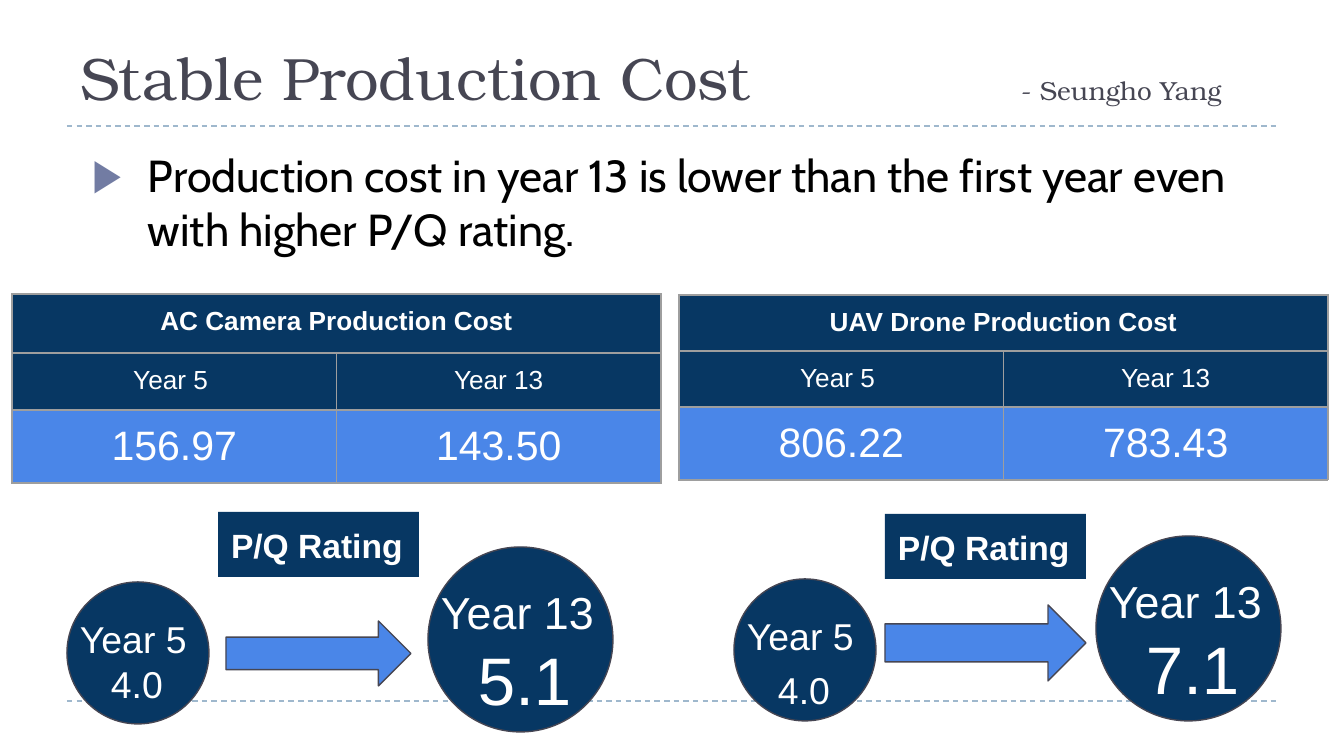
from dataclasses import dataclass

from lxml import etree
from pptx import Presentation
from pptx import util as u
from pptx.dml.color import RGBColor
from pptx.enum import dml, shapes, text
from pptx.oxml import ns

SCALE = 914400 / 134.4
INSET = 13
COLORS = {
    "navy": "073763", "blue": "4A86E8", "ink": "464653", "white": "FFFFFF",
    "black": "000000", "rule": "9FB8CD", "grid": "9E9E9E", "bullet": "727CA3",
}


@dataclass
class Box:
    """A place on the slide, in pixels."""
    left: int
    top: int
    width: int
    height: int


@dataclass
class Rating:
    """A circle holding a year and its rating."""
    circle: Box
    words_top: int
    year: str
    value: str
    sizes: tuple[int, int]
    indent: int
    gap: int = 0


@dataclass
class Product:
    """Costs and ratings of one product."""
    cost_title: str
    costs: tuple[str, str]
    table: Box
    row_heights: tuple[int, int, int]
    label: Box
    arrow: Box
    ratings: tuple[Rating, Rating]


def px(length: float) -> u.Emu:
    """Turn pixels into EMU."""
    return u.Emu(round(length * SCALE))


def place(box: Box) -> tuple:
    """Give left, top, width and height in EMU."""
    return px(box.left), px(box.top), px(box.width), px(box.height)


def color(name: str) -> RGBColor:
    """Look up a colour."""
    return RGBColor.from_string(COLORS[name])


def style(run, size: int, ink: str = "white", face: str = "Arial", bold: bool = False) -> None:
    """Format one run."""
    run.font.size, run.font.name, run.font.bold = u.Pt(size), face, bold
    run.font.color.rgb = color(ink)


def prepare(frame, anchor=text.MSO_ANCHOR.TOP) -> None:
    """Give a text frame equal insets, wrapping and an anchor."""
    frame.auto_size = text.MSO_AUTO_SIZE.NONE
    frame.word_wrap, frame.vertical_anchor = True, anchor
    frame.margin_left = frame.margin_right = px(INSET)
    frame.margin_top = frame.margin_bottom = px(INSET)


def add_xml(parent, tag: str, **attributes: str):
    """Append a drawing element."""
    return etree.SubElement(parent, ns.qn(tag), attributes)


def add_rule(slide, y: int) -> None:
    """Draw a dashed line across the slide."""
    rule = slide.shapes.add_connector(
        shapes.MSO_CONNECTOR.STRAIGHT, px(67), px(y), px(1277), px(y))
    rule.line.color.rgb, rule.line.width = color("rule"), u.Pt(0.75)
    rule.line.dash_style = dml.MSO_LINE.DASH
    add_xml(rule._element.spPr, "a:effectLst")


def add_solid(slide, kind, box: Box, fill: str, outlined: bool = True):
    """Draw a filled preset shape."""
    solid = slide.shapes.add_shape(kind, *place(box))
    solid.shadow.inherit = False
    solid.fill.solid()
    solid.fill.fore_color.rgb = color(fill)
    if outlined:
        solid.line.color.rgb, solid.line.width = color("ink"), u.Pt(0.75)
    else:
        solid.line.fill.background()
    return solid


def fill_title(title) -> None:
    """Write the heading and, after a tab, its presenter."""
    title.left, title.top, title.width, title.height = place(Box(67, 17, 1210, 109))
    prepare(title.text_frame, text.MSO_ANCHOR.BOTTOM)
    heading = title.text_frame.paragraphs[0]
    heading.alignment = text.PP_ALIGN.LEFT
    stops = add_xml(heading._p.get_or_add_pPr(), "a:tabLst")
    add_xml(stops, "a:tab", pos=str(px(941)), algn="l")
    for words, size in (("Stable Production Cost", 32), ("\t- Seungho Yang", 14)):
        run = heading.add_run()
        run.text = words
        style(run, size, "ink", "TeX Gyre Bonum")


def fill_body(body) -> None:
    """Write the bulleted statement."""
    body.left, body.top, body.width, body.height = place(Box(68, 135, 1210, 379))
    prepare(body.text_frame)
    statement = body.text_frame.paragraphs[0]
    statement.text = ("Production cost in year 13 is lower than the first year "
                      "even with higher P/Q rating.")
    style(statement.runs[0], 24, "black", "Cabin")
    statement.space_before = u.Pt(0)
    props = statement._p.get_or_add_pPr()
    props.set("marL", str(px(67)))
    props.set("indent", str(px(-56)))
    add_xml(add_xml(props, "a:buClr"), "a:srgbClr", val=COLORS["bullet"])
    add_xml(props, "a:buChar", char="▶")


def add_borders(cell) -> None:
    """Outline a cell on all four sides, ahead of its fill."""
    props = cell._tc.get_or_add_tcPr()
    for index, side in enumerate(("a:lnL", "a:lnR", "a:lnT", "a:lnB")):
        border = add_xml(props, side, w=str(u.Pt(0.75)))
        add_xml(add_xml(border, "a:solidFill"), "a:srgbClr", val=COLORS["grid"])
        props.insert(index, border)


def add_costs(slide, product: Product) -> None:
    """Draw the cost table of a product."""
    table = slide.shapes.add_table(3, 2, *place(product.table)).table
    for row, height in zip(table.rows, product.row_heights):
        row.height = px(height)
    table.cell(0, 0).merge(table.cell(0, 1))
    rows = (
        ((product.cost_title, ""), "navy", 14, True),
        (("Year 5 ", "Year 13"), "navy", 14, False),
        (product.costs, "blue", 22, False),
    )
    for r, (entries, fill, size, bold) in enumerate(rows):
        for c, entry in enumerate(entries):
            cell = table.cell(r, c)
            cell.margin_left = cell.margin_right = px(INSET)
            cell.margin_top = cell.margin_bottom = px(INSET)
            cell.fill.solid()
            cell.fill.fore_color.rgb = color(fill)
            add_borders(cell)
            if entry:
                paragraph = cell.text_frame.paragraphs[0]
                paragraph.text, paragraph.alignment = entry, text.PP_ALIGN.CENTER
                style(paragraph.runs[0], size, bold=bold)


def add_rating(slide, rating: Rating) -> None:
    """Draw a circle with its year and rating."""
    add_solid(slide, shapes.MSO_SHAPE.OVAL, rating.circle, "navy")
    area = Box(rating.circle.left, rating.words_top, 202, 137)
    frame = slide.shapes.add_textbox(*place(area)).text_frame
    prepare(frame)
    year, value = frame.paragraphs[0], frame.add_paragraph()
    year.text, value.text = rating.year, rating.value
    for paragraph, size in zip((year, value), rating.sizes):
        style(paragraph.runs[0], size)
    value.space_before = u.Pt(rating.gap)
    value._p.get_or_add_pPr().set("marL", str(px(rating.indent)))


def add_product(slide, product: Product) -> None:
    """Draw the costs and the change in rating of a product."""
    add_costs(slide, product)
    for rating in product.ratings:
        add_rating(slide, rating)
    add_solid(slide, shapes.MSO_SHAPE.RIGHT_ARROW, product.arrow, "blue")
    label = add_solid(slide, shapes.MSO_SHAPE.RECTANGLE, product.label, "navy", False)
    prepare(label.text_frame)
    caption = label.text_frame.paragraphs[0]
    caption.text, caption.alignment = "P/Q Rating", text.PP_ALIGN.LEFT
    style(caption.runs[0], 18, bold=True)


PRODUCTS = (
    Product("AC Camera Production Cost", ("156.97", "143.50"),
            Box(12, 294, 649, 189), (59, 57, 73),
            Box(218, 512, 201, 65), Box(226, 621, 185, 65),
            (Rating(Box(67, 582, 142, 142), 603, "Year 5", "4.0", (20, 20), 31),
             Rating(Box(428, 547, 185, 185), 572, "Year 13", "5.1", (24, 36), 37))),
    Product("UAV Drone Production Cost", ("806.22", "783.43"),
            Box(679, 295, 649, 185), (56, 56, 73),
            Box(885, 514, 201, 65), Box(885, 605, 201, 76),
            (Rating(Box(734, 579, 142, 142), 600, "Year 5", "4.0", (20, 20), 31, 5),
             Rating(Box(1096, 536, 185, 185), 561, "Year 13", "7.1", (24, 36), 37))),
)

deck = Presentation()
deck.slide_width, deck.slide_height = px(1344), px(756)
cost_slide = deck.slides.add_slide(deck.slide_layouts[1])
fill_title(cost_slide.shapes.title)
fill_body(cost_slide.placeholders[1])
for rule_y in (126, 701):
    add_rule(cost_slide, rule_y)
for item in PRODUCTS:
    add_product(cost_slide, item)
deck.save("out.pptx")
